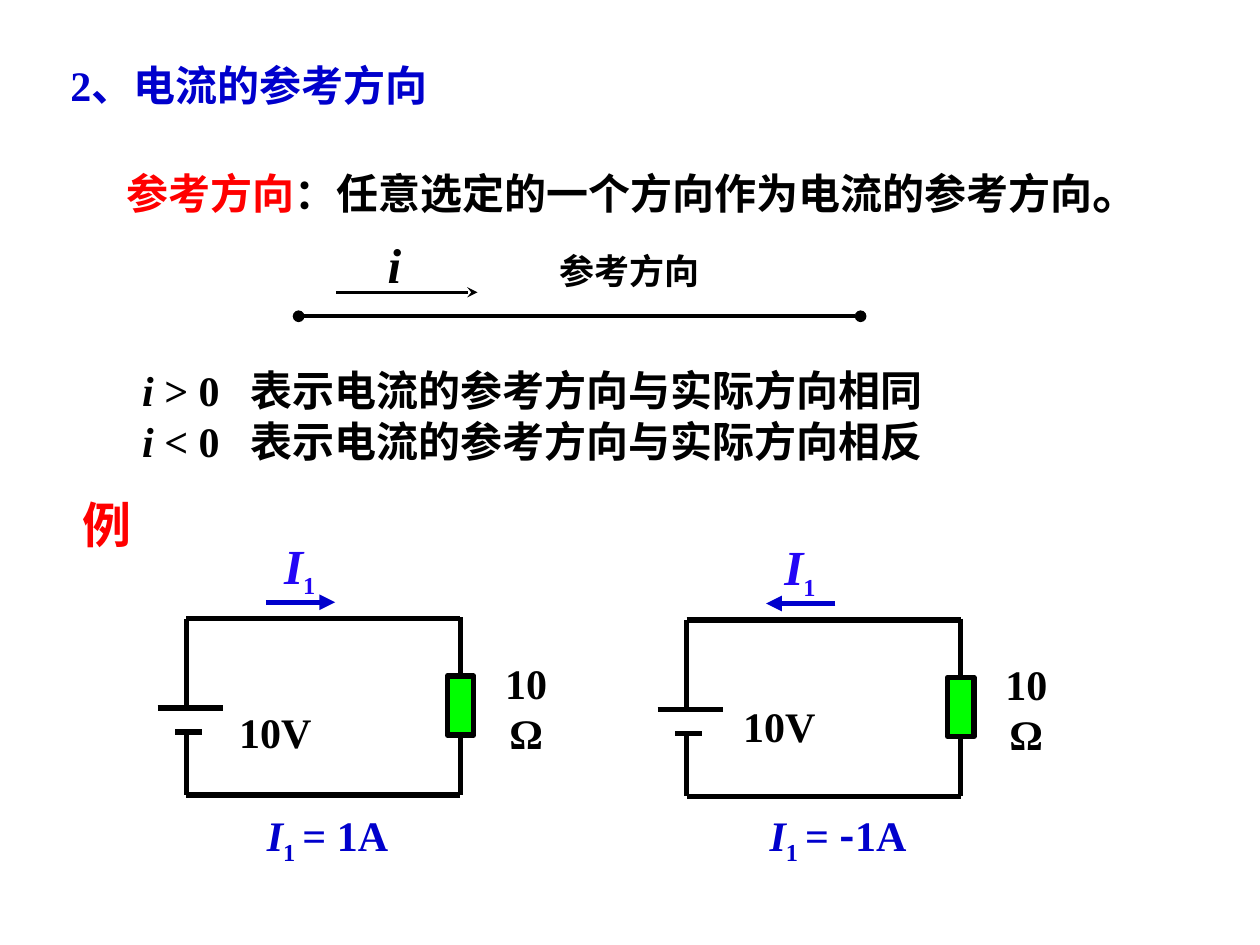
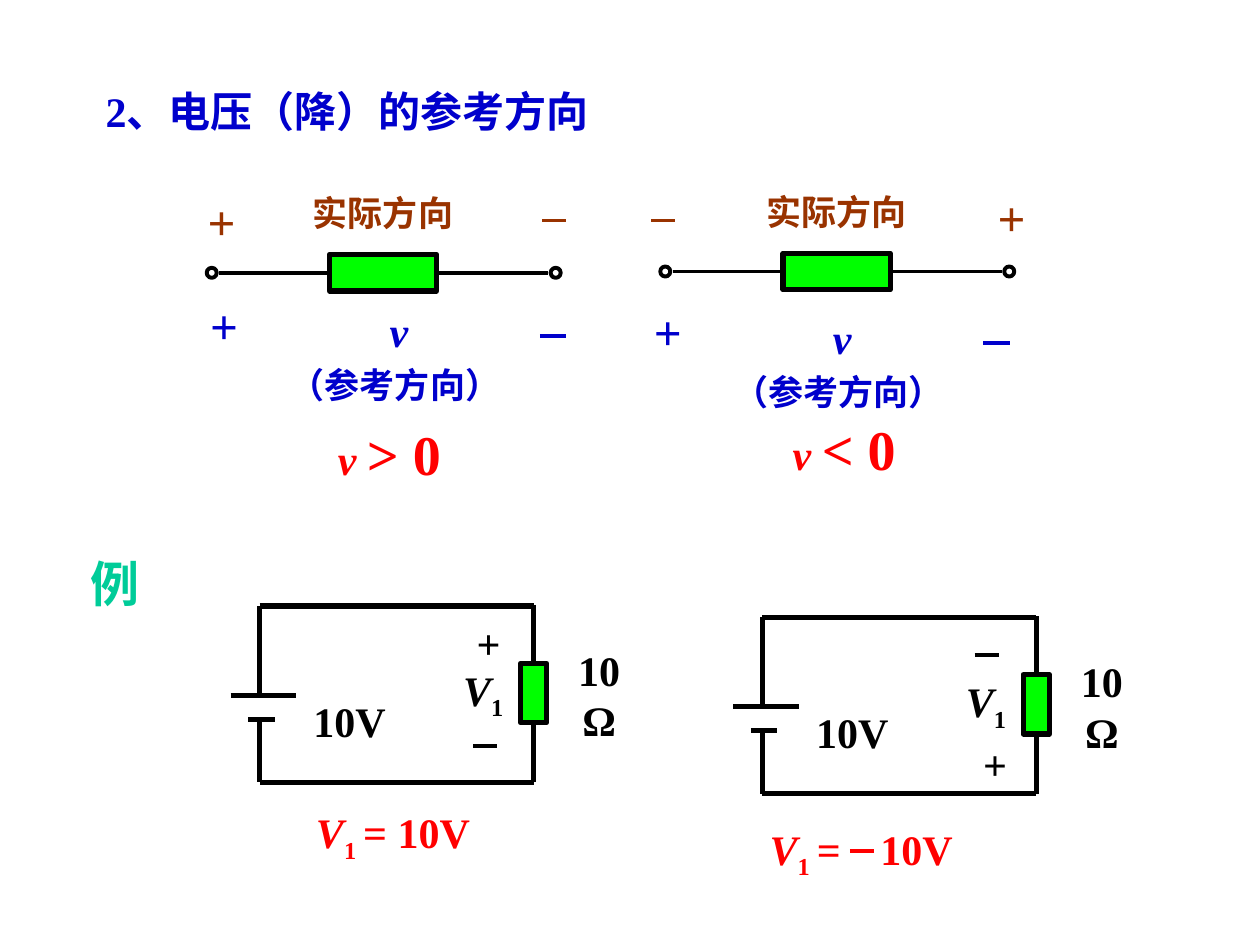
from lxml.etree import SubElement
from pptx import Presentation
from pptx.dml.color import RGBColor
from pptx.enum.shapes import MSO_CONNECTOR, MSO_SHAPE
from pptx.enum.text import MSO_ANCHOR, PP_ALIGN
from pptx.oxml.ns import qn
from pptx.util import Inches, Pt

# Grid: 100 columns by 75 rows on each slide
WIDTH, HEIGHT = Inches(10), Inches(7.5)
COL, ROW = WIDTH / 100, HEIGHT / 75

LATIN, HAN = "Times New Roman", "Noto Sans CJK SC"
BLACK, WHITE, BLUE, RED = "000000", "FFFFFF", "0000CC", "FF0000"
GREEN, BROWN, TEAL, VIOLET = "00FF00", "993300", "00CC99", "2306F6"
ITALIC, PLAIN = {"italic": True}, {"italic": False}
SUB = {"size": 24, "sub": True}
GAP = (" ", {"size": 16})


def hue(code):
    return RGBColor.from_string(code)


def across(n):
    return round(n * COL)


def down(n):
    return round(n * ROW)


def area(left, top, wide, high):
    return across(left), down(top), across(wide), down(high)


def style(run, size, color, italic=False, sub=False, font=LATIN):
    face = run.font
    face.name, face.size = font, Pt(size)
    face.bold, face.italic = True, italic
    face.color.rgb = hue(color)
    props = run._r.get_or_add_rPr()
    if sub:
        props.set("baseline", "-25000")
    east = SubElement(props, qn("a:ea"))
    east.set("typeface", HAN)


def write(slide, box, *lines, size=24, color=BLACK, center=True, wrap=None,
          pad=1, tab=None, lead=None, **form):
    """Each line is a string or a list of (text, format) runs."""
    frame = slide.shapes.add_textbox(*area(*box)).text_frame
    frame.word_wrap = (not center) if wrap is None else wrap
    frame.vertical_anchor = MSO_ANCHOR.MIDDLE
    frame.margin_left = frame.margin_right = across(pad)
    for n, line in enumerate(lines):
        para = frame.add_paragraph() if n else frame.paragraphs[0]
        if tab:
            stops = SubElement(para._p.get_or_add_pPr(), qn("a:tabLst"))
            stop = SubElement(stops, qn("a:tab"))
            stop.set("pos", str(across(tab)))
            stop.set("algn", "l")
        para.alignment = PP_ALIGN.CENTER if center else PP_ALIGN.LEFT
        if lead and not n:
            para.line_spacing = lead
        for words, extra in [(line, {})] if isinstance(line, str) else line:
            run = para.add_run()
            run.text = words
            style(run, **{"size": size, "color": color, **form, **extra})


def wire(slide, start, end, color=BLACK, width=3, head=None, tail=None):
    link = slide.shapes.add_connector(
        MSO_CONNECTOR.STRAIGHT, across(start[0]), down(start[1]),
        across(end[0]), down(end[1]))
    link.line.color.rgb, link.line.width = hue(color), Pt(width)
    pen = link.line._get_or_add_ln()
    for tag, kind in (("a:headEnd", head), ("a:tailEnd", tail)):
        if kind:
            SubElement(pen, qn(tag)).set("type", kind)
    SubElement(link._element.spPr, qn("a:effectLst"))
    return link


def form(slide, kind, box, fill, width=3):
    shape = slide.shapes.add_shape(kind, *area(*box))
    shape.shadow.inherit = False
    shape.fill.solid()
    shape.fill.fore_color.rgb = hue(fill)
    shape.line.color.rgb, shape.line.width = hue(BLACK), Pt(width)
    return shape


def title(slide, left, top, text):
    write(slide, (left, top, 85, 5), text, color=BLUE, center=False)


def mark(slide, left, top, color):
    write(slide, (left, top, 5.9, 5.7), "例", size=28, color=color)


def plus(slide, x, y, color=BLACK, size=28):
    write(slide, (x - 1.6, y - 2.85, 3.2, 5.7), "+", size=size, color=color)


def minus(slide, x, y, color=BLACK, length=1.9):
    wire(slide, (x - length / 2, y), (x + length / 2, y), color, 2.25)


def loop(slide, x, y, volt=(2.8, 6.6)):
    """Battery and resistor loop with its top left corner at x, y."""
    right, foot = x + 21.75, y + 14
    load = form(slide, MSO_SHAPE.RECTANGLE, (right - 1.05, y + 4.55, 2.1, 4.7), GREEN)
    wire(slide, (right, y - .1), (right, y + 4.55)).end_connect(load, 0)
    wire(slide, (right, foot), (right, y + 9.25)).end_connect(load, 2)
    for start, end in (
            ((x, y), (right, y)), ((x, foot), (right, foot)),
            ((x, y), (x, y + 7.1)), ((x, y + 9), (x, foot)),
            ((x - 2.3, y + 7.1), (x + 2.9, y + 7.1)),
            ((x - .9, y + 9), (x + 1.2, y + 9))):
        wire(slide, start, end)
    write(slide, (x + volt[0], y + volt[1], 8.7, 5), "10V")
    write(slide, (x + 23, y + 4.55, 7.9, 5), "10Ω", wrap=True, pad=1.5)


def flow(slide, x, y, ahead):
    """Current label and arrow above a loop."""
    write(slide, (x + 6.7, y - 6.9, 4.6, 5.7), [("I", ITALIC), ("1", SUB)],
          size=28, color=VIOLET)
    ends = [(x + 6.3, y - 1.3), (x + 11.8, y - 1.3)]
    wire(slide, *(ends if ahead else ends[::-1]), color=BLUE, tail="triangle")


def answer(slide, left, top, name, *rest, color, tab=None):
    write(slide, (left, top, 20, 5), [(name, ITALIC), ("1", SUB), GAP, *rest],
          color=color, center=False, tab=tab)


def branch(slide, x, y):
    """Resistor between two terminals, on the level y."""
    load = form(slide, MSO_SHAPE.RECTANGLE, (x + 9.75, y - 1.45, 8.5, 2.9), GREEN)
    wire(slide, (x + 1, y), (x + 9.75, y), width=2.25).end_connect(load, 1)
    wire(slide, (x + 27.1, y), (x + 18.25, y), width=2.25).end_connect(load, 3)
    for left in (x, x + 27.3):
        form(slide, MSO_SHAPE.OVAL, (left, y - .4, .8, .8), WHITE, 2.25)
    write(slide, (x + 7.4, y - 6.9, 13.2, 4.3), "实际方向", size=20, color=BROWN)


def drop(slide, x, y, sign, place):
    """Reference direction below a branch, and the sign of v."""
    plus(slide, x, y, BLUE)
    minus(slide, x + 26.6, y + .9, BLUE, 2.1)
    write(slide, (x + 12.6, y - 2, 3.5, 5), "v", color=BLUE, italic=True)
    write(slide, (x + 4.1, y + 2.6, 19.9, 4.3), "（参考方向）", size=20, color=BLUE)
    write(slide, (*place, 10.2, 6.3),
          [("v ", ITALIC), (sign + " 0", {"size": 32})], color=RED)


def current(slide):
    title(slide, 4.6, 4.2, "2、电流的参考方向")
    write(slide, (8.8, 12.2, 83, 5.7),
          [("参考方向", {"color": RED}),
           ("：任意选定的一个方向作为电流的参考方向", {}), ("。", {"size": 28})])
    # Reference arrow along a conductor
    write(slide, (29.3, 18.1, 4, 5.7), "i", size=28, italic=True)
    write(slide, (43, 19.1, 14, 4.7), "参考方向", size=20)
    wire(slide, (26.7, 23.2), (37.9, 23.2), width=1.5, tail="stealth")
    wire(slide, (68.3, 25.1), (23.7, 25.1), width=2.25, head="oval", tail="oval")
    write(slide, (10.3, 26.4, 66, 11.1),
          *([("i ", ITALIC), (f"{sign} 0\t表示电流的参考方向与实际方向相{same}", {})]
            for sign, same in ((">", "同"), ("<", "反"))),
          center=False, tab=8.6, lead=1.5)
    # Examples
    mark(slide, 5.5, 38.7, RED)
    for x, y, ahead, volt in ((14.8, 49.1, True, (2.7, 6.5)),
                              (54.5, 49.2, False, (3, 5.9))):
        loop(slide, x, y, volt)
        flow(slide, x, y, ahead)
    answer(slide, 20.2, 64, "I", ("= 1A", {}), color=BLUE)
    answer(slide, 60.1, 64, "I", ("= ", {}), ("-", {"font": HAN}), ("1A", {}),
           color=BLUE)


def voltage(slide):
    title(slide, 7.4, 6.3, "2、电压（降）的参考方向")
    # Actual and reference directions
    branch(slide, 16.4, 21.65)
    branch(slide, 52.4, 21.55)
    plus(slide, 17.1, 17.55, BROWN)
    minus(slide, 44, 17.5, BROWN)
    minus(slide, 52.65, 17.5, BROWN)
    plus(slide, 79.8, 17.25, BROWN)
    drop(slide, 17.3, 25.75, ">", (25.8, 32.8))
    drop(slide, 52.5, 26.3, "<", (61.9, 32.4))
    # Examples
    mark(slide, 6.2, 43.4, TEAL)
    for x, y in ((20.6, 48.1), (60.5, 49)):
        loop(slide, x, y)
        write(slide, (x + 15, y + 4.4, 5.5, 5), [("V", ITALIC), ("1", SUB)])
    plus(slide, 38.45, 51, size=24)
    minus(slide, 38.5, 59.2)
    minus(slide, 78.3, 52)
    plus(slide, 78.65, 60.6, size=24)
    answer(slide, 24.1, 63.8, "V", ("= 10V", {}), color=RED)
    answer(slide, 60.1, 65.1, "V", ("=\t10V", {}), color=RED, tab=8.8)
    minus(slide, 68.4, 67.55, RED)


def main():
    deck = Presentation()
    deck.slide_width, deck.slide_height = WIDTH, HEIGHT
    for build in (current, voltage):
        build(deck.slides.add_slide(deck.slide_layouts[6]))
    deck.save("out.pptx")


if __name__ == "__main__":
    main()
